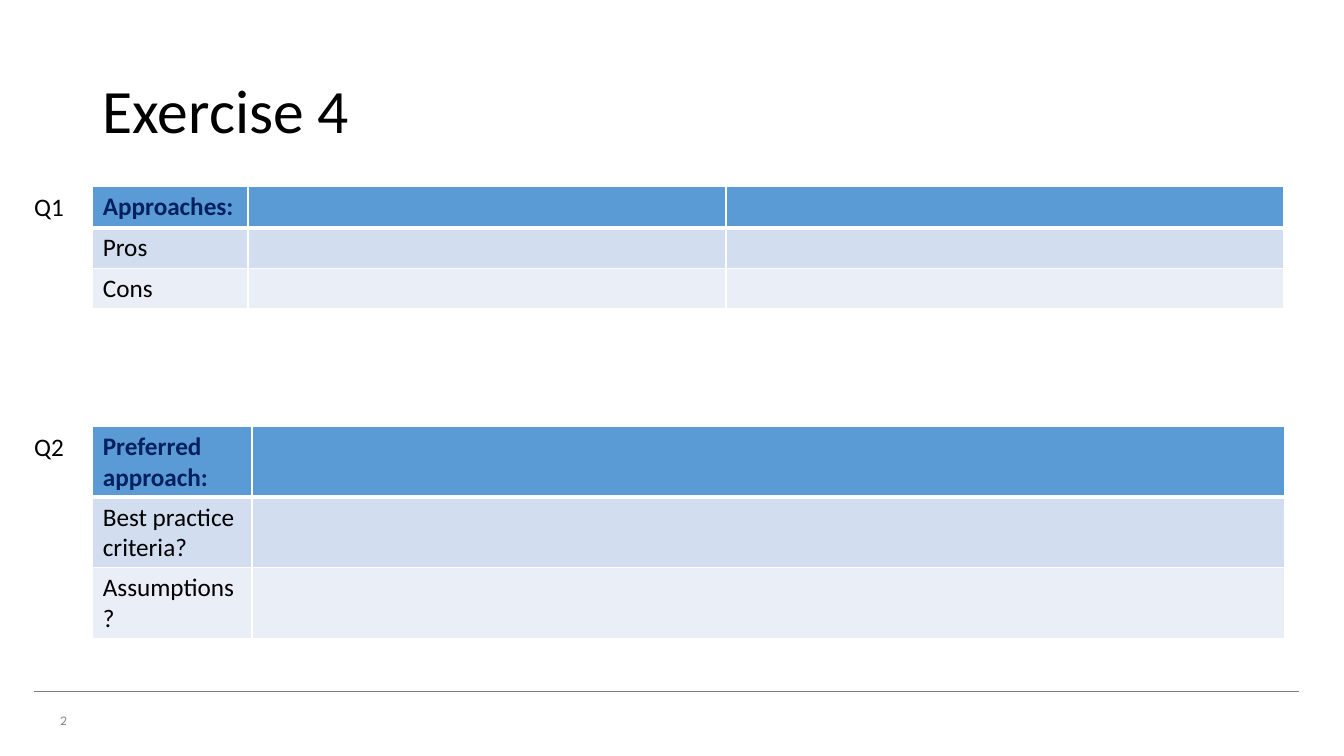
import pptx
import pptx.util
import pptx.dml.color
import pptx.enum.shapes
import pptx.enum.text
import pptx.oxml
import pptx.oxml.ns

Inches = pptx.util.Inches
Pt = pptx.util.Pt
ROW_FILLS = ["5B9BD5", "D2DEEF", "EAEFF7"]
TABLE_LEFT = 0.92


def color(value):
    return pptx.dml.color.RGBColor.from_string(value)


def write(frame, text, size=18, font="Calibri", fill="000000", bold=False,
          anchor=pptx.enum.text.MSO_ANCHOR.TOP, spacing=1.0):
    frame.word_wrap = True
    frame.vertical_anchor = anchor
    para = frame.paragraphs[0]
    para.alignment = pptx.enum.text.PP_ALIGN.LEFT
    para.line_spacing = spacing
    span = para.add_run()
    span.text = text
    span.font.size = Pt(size)
    span.font.name = font
    span.font.bold = bold
    span.font.color.rgb = color(fill)


def add_title(page, text):
    title = page.shapes.title
    title.left, title.top = Inches(TABLE_LEFT), Inches(0.4)
    title.width, title.height = Inches(11.5), Inches(1.45)
    title.text_frame.auto_size = pptx.enum.text.MSO_AUTO_SIZE.NONE
    write(title.text_frame, text, size=44, spacing=0.9,
          anchor=pptx.enum.text.MSO_ANCHOR.MIDDLE)


def add_text(page, text, left, top, width, height, **style):
    box = page.shapes.add_textbox(Inches(left), Inches(top), Inches(width), Inches(height))
    write(box.text_frame, text, **style)


def add_rule(page, left, right, top):
    rule = page.shapes.add_connector(pptx.enum.shapes.MSO_CONNECTOR.STRAIGHT,
                                     Inches(left), Inches(top), Inches(right), Inches(top))
    rule.line.color.rgb = color("7F7F7F")
    rule.line.width = Pt(0.25)
    rule._element.spPr.append(pptx.oxml.parse_xml(
        f'<a:effectLst {pptx.oxml.ns.nsdecls("a")}/>'))


def set_borders(cell, top, bottom):
    properties = cell._tc.get_or_add_tcPr()
    widths = {"L": 1, "R": 1, "T": top, "B": bottom}
    for position, (side, width) in enumerate(widths.items()):
        properties.insert(position, pptx.oxml.parse_xml(
            f'<a:ln{side} {pptx.oxml.ns.nsdecls("a")} w="{Pt(width)}">'
            f'<a:solidFill><a:srgbClr val="FFFFFF"/></a:solidFill></a:ln{side}>'))


def add_answer_table(page, top, labels, column_widths, row_heights):
    table = page.shapes.add_table(
        len(labels), len(column_widths), Inches(TABLE_LEFT), Inches(top),
        Inches(sum(column_widths)), Inches(sum(row_heights))).table
    for column, width in zip(table.columns, column_widths):
        column.width = Inches(width)
    for index, (row, label, height) in enumerate(zip(table.rows, labels, row_heights)):
        row.height = Inches(height)
        header = index == 0
        for cell in row.cells:
            cell.fill.solid()
            cell.fill.fore_color.rgb = color(ROW_FILLS[index])
            set_borders(cell, top=3 if index == 1 else 1, bottom=3 if header else 1)
        write(row.cells[0].text_frame, label, bold=header,
              fill="002060" if header else "000000")


def add_question(page, name, top, labels, column_widths, row_heights):
    add_answer_table(page, top, labels, column_widths, row_heights)
    add_text(page, name, 0.24, top, 0.68, 0.4)


def main():
    deck = pptx.Presentation()
    deck.slide_width, deck.slide_height = Inches(13.33), Inches(7.5)
    page = deck.slides.add_slide(deck.slide_layouts[5])
    add_text(page, "2", 0.5, 6.95, 1.07, 0.4, size=9, font="League Spartan",
             fill="7F7F7F", anchor=pptx.enum.text.MSO_ANCHOR.MIDDLE)
    add_rule(page, 0.34, 12.88, 6.86)
    add_title(page, "Exercise 4")
    add_question(page, "Q1", 1.85, ["Approaches:", "Pros", "Cons"],
                 [1.54, 4.74, 5.53], [0.41, 0.4, 0.4])
    add_question(page, "Q2", 4.23,
                 ["Preferred approach:", "Best practice criteria?", "Assumptions?"],
                 [1.58, 10.24], [0.7, 0.7, 0.7])
    deck.save("out.pptx")


main()
